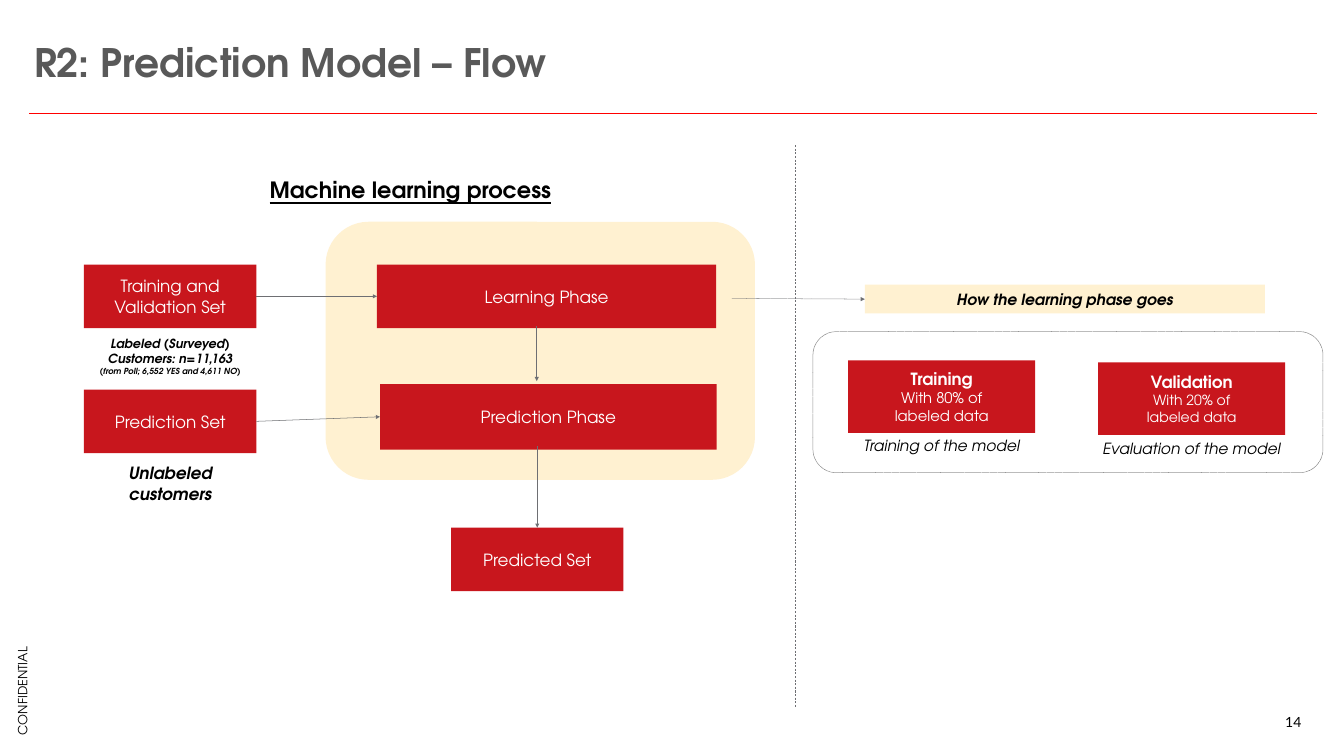
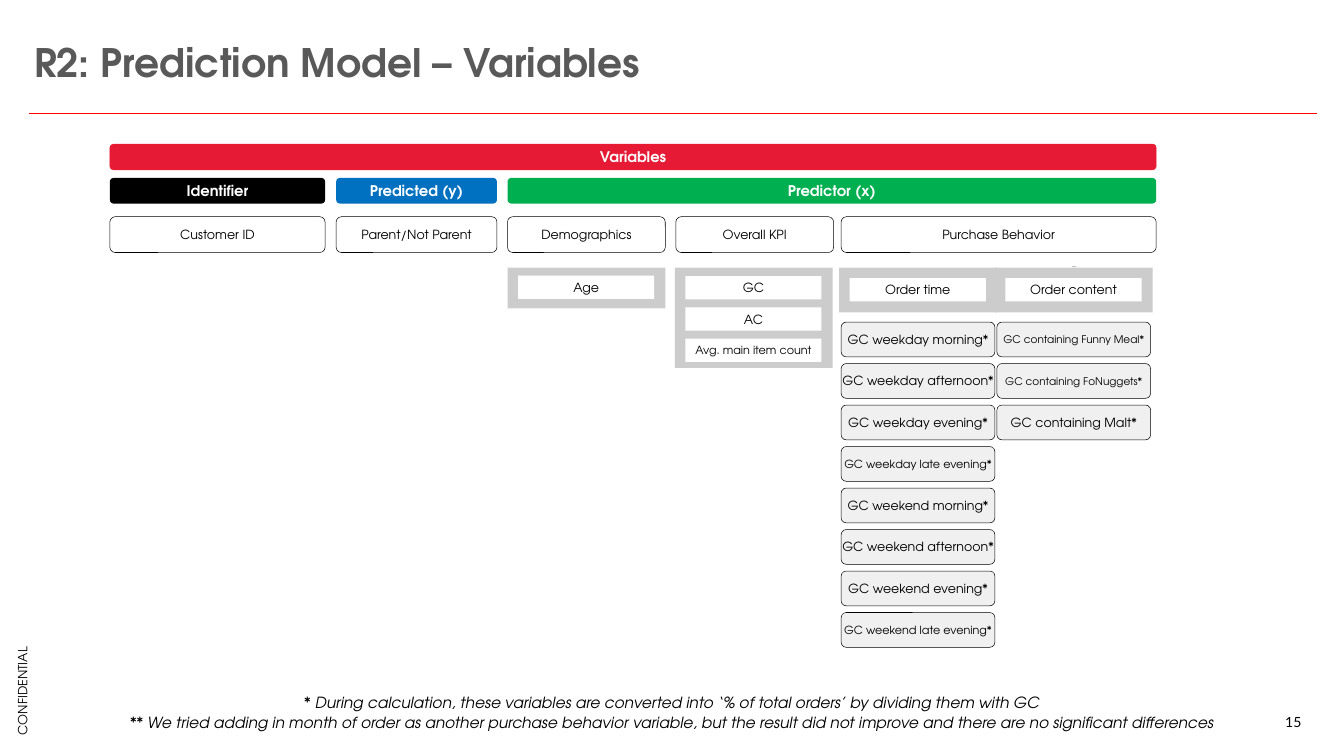
from dataclasses import dataclass

from lxml import etree
from pptx import Presentation
from pptx import util as u
from pptx.dml.color import RGBColor
from pptx.enum import dml, shapes, text
from pptx.oxml.ns import qn

# Slide grid: 80 columns by 45 rows of square cells
WIDTH, HEIGHT = u.Inches(26.67), u.Inches(15)
COLUMNS, ROWS = 80, 45

FONT = "TeX Gyre Adventor"
RED, CREAM, WHITE, BLACK = "C8161D", "FFF1D1", "FFFFFF", "000000"
TITLE_GREY, LINE_GREY = "595959", "6E6F73"
PANEL_GREY, PILL_GREY = "CCCCCC", "F0F0F0"
RECT = shapes.MSO_SHAPE.RECTANGLE
ROUND = shapes.MSO_SHAPE.ROUNDED_RECTANGLE
DASH, DOT = dml.MSO_LINE.DASH, dml.MSO_LINE.ROUND_DOT
TOP, LEFT, BOTTOM, RIGHT = range(4)
MIDDLE = text.MSO_ANCHOR.MIDDLE
WIDE_INSETS = (0.2, 0.1, 0.2, 0.1)
THIN_INSETS = (0.1, 0.05, 0.1, 0.05)
NO_INSETS = (0, 0, 0, 0)


@dataclass
class Box:
    """Area of the grid; parts are placed from its top left corner."""
    slide: object
    col: float = 0
    row: float = 0

    def point(self, col, row):
        return (int((self.col + col) * WIDTH / COLUMNS),
                int((self.row + row) * HEIGHT / ROWS))

    def frame(self, col, row, cols, rows):
        return (*self.point(col, row),
                int(cols * WIDTH / COLUMNS), int(rows * HEIGHT / ROWS))


def color(hex_value):
    return RGBColor.from_string(hex_value)


def write(shape, lines, insets=WIDE_INSETS, anchor=MIDDLE, wrap=True,
          align=text.PP_ALIGN.CENTER, spacing=None, ink=BLACK, **style):
    """Fill a shape with lines: plain strings, or (string, style changes)."""
    frame = shape.text_frame
    frame.word_wrap = wrap
    frame.vertical_anchor = anchor
    for side, inset in zip(("left", "top", "right", "bottom"), insets):
        setattr(frame, f"margin_{side}", u.Inches(inset))
    for index, line in enumerate(lines):
        words, changes = (line, {}) if isinstance(line, str) else line
        paragraph = frame.paragraphs[0] if index == 0 else frame.add_paragraph()
        paragraph.alignment = align
        if spacing:
            paragraph.line_spacing = spacing
        run = paragraph.add_run()
        run.text = words
        run.font.color.rgb = color(ink)
        for name, value in {"name": FONT, **style, **changes}.items():
            setattr(run.font, name, u.Pt(value) if name == "size" else value)
    return shape


def add_text(box, place, lines, **style):
    label = box.slide.shapes.add_textbox(*box.frame(*place))
    return write(label, lines, **{"anchor": text.MSO_ANCHOR.TOP, **style})


def add_block(box, place, kind=RECT, fill=None, line=None, dash=None, corner=None):
    block = box.slide.shapes.add_shape(kind, *box.frame(*place))
    block.shadow.inherit = False
    if fill:
        block.fill.solid()
        block.fill.fore_color.rgb = color(fill)
    else:
        block.fill.background()
    if line:
        block.line.color.rgb = color(line)
        block.line.width = u.Pt(0.75)
        block.line.dash_style = dash
    else:
        block.line.fill.background()
    if corner is not None:
        block.adjustments[0] = corner
    return block


def add_line(box, start, end, ink=LINE_GREY, width=0.75, dash=None, arrow=False):
    """Each end is a (col, row) point or a (shape, side) pair to join."""
    joins = [not isinstance(tip[0], (int, float)) for tip in (start, end)]
    points = [(0, 0) if joined else box.point(*tip)
              for tip, joined in zip((start, end), joins)]
    line = box.slide.shapes.add_connector(
        shapes.MSO_CONNECTOR.STRAIGHT, *points[0], *points[1])
    if joins[0]:
        line.begin_connect(*start)
    if joins[1]:
        line.end_connect(*end)
    line.line.color.rgb = color(ink)
    line.line.width = u.Pt(width)
    if dash:
        line.line.dash_style = dash
    if arrow:
        etree.SubElement(line.line._get_or_add_ln(), qn("a:tailEnd"), type="triangle")
    etree.SubElement(line._element.spPr, qn("a:effectLst"))


def start_slide(deck, title, number):
    """Blank slide with the shared title, rule, side mark and page number."""
    slide = deck.slides.add_slide(deck.slide_layouts[6])
    page = Box(slide)
    add_text(page, (76.14, 42.57, 1.68, 0.93), [str(number)], name="Lato", size=20,
             insets=NO_INSETS, anchor=text.MSO_ANCHOR.BOTTOM, wrap=False, spacing=0.9)
    add_line(page, (1.74, 6.78), (78.39, 6.78), ink="FF0000", width=1.25)
    side_mark = add_text(page, (-1.62, 40.53, 5.91, 1.2), ["CONFIDENTIAL"],
                         size=18, insets=THIN_INSETS, wrap=False)
    side_mark.rotation = 270
    add_text(page, (1.74, 1.86, 75.15, 3.81), [title], size=56, bold=True,
             ink=TITLE_GREY, insets=(0.1, 0.1, 0.1, 0), anchor=MIDDLE,
             align=text.PP_ALIGN.LEFT, spacing=0.85)
    return slide


# Slide 14: flow
def step(box, place, lines, **style):
    return write(add_block(box, place, fill=RED), lines, ink=WHITE, size=24, **style)


def learning_process(box):
    add_block(box, (14.38, 3.2, 25.56, 15.36), ROUND, fill=CREAM)
    add_text(box, (9.58, 0.17, 19.71, 2.22), ["Machine learning process"],
             size=32, bold=True, underline=True, anchor=MIDDLE)

    # Data sets and phases
    set_size = (10.26, 3.78)
    training_set = step(box, (0, 5.75, *set_size), ["Training and Validation Set"])
    prediction_set = step(box, (0, 13.19, *set_size), ["Prediction Set"])
    predicted_set = step(box, (21.85, 21.41, *set_size), ["Predicted Set"])
    learning = step(box, (17.44, 5.75, 20.19, 3.78), ["Learning Phase"])
    prediction = step(box, (17.62, 12.86, 20.04, 3.9), ["Prediction Phase"])

    # Notes under the data sets
    note = {"bold": True, "italic": True}
    add_text(box, (-3.35, 9.71, 16.98, 3.03),
             ["Labeled (Surveyed)", "Customers: n=11,163",
              ("(from Poll; 6,552 YES and 4,611 NO)", {"size": 12})], size=18, **note)
    add_text(box, (-3.35, 17.27, 16.98, 3.03), ["Unlabeled", "customers"],
             size=24, **note)

    # Flow arrows
    for start, end in (((training_set, RIGHT), (learning, LEFT)),
                       ((prediction_set, RIGHT), (prediction, LEFT)),
                       ((26.95, 9.41), (26.95, 12.68)),
                       ((26.98, 16.52), (predicted_set, TOP))):
        add_line(box, start, end, arrow=True)


def learning_detail(box):
    add_line(box, (-0.69, -7.36), (-0.69, 26.06), dash=DASH)
    add_block(box, (0.39, 3.74, 30.36, 8.4), ROUND, line="5F5F5F", dash=DOT)
    heading = add_block(box, (3.48, 0.95, 23.82, 1.71), fill=CREAM)
    write(heading, ["How the learning phase goes"], size=22, bold=True, italic=True)
    add_line(box, (-4.44, 1.76), (heading, LEFT), dash=DOT, arrow=True)

    # Training and validation, each with its caption
    parts = (
        (2.49, 5.45, "Training", "With 80% of", 21, "Training of the model", THIN_INSETS),
        (17.37, 5.57, "Validation", "With 20% of", 20, "Evaluation of the model",
         WIDE_INSETS),
    )
    for col, row, name, share, size, caption, insets in parts:
        small = {"size": size, "bold": False}
        step(box, (col, row, 11.13, 4.32),
             [name, (share, small), ("labeled data", small)], bold=True)
        add_text(box, (col - 1.19, 9.83, 13.5, 1.41), [caption],
                 size=22, italic=True, insets=insets)


# Slide 15: variables
def pill(box, place, label, size=18, ink=BLACK, bold=False, **look):
    shape = add_block(box, place, ROUND, corner=0.146, **look)
    write(shape, [label], insets=NO_INSETS, wrap=False, size=size, ink=ink, bold=bold)


def variable_tree(box):
    # Coloured headers
    identifier, predicted, predictor = (0, 12.81), (13.47, 9.57), (23.67, 38.61)
    for (col, cols), row, label, look in (
            ((0, 62.28), 0, "Variables", {"fill": "E61A34", "line": "ED1B2E"}),
            (identifier, 2.01, "Identifier", {"fill": BLACK}),
            (predicted, 2.01, "Predicted (y)", {"fill": "0070C0"}),
            (predictor, 2.01, "Predictor (x)", {"fill": "00B050"})):
        pill(box, (col, row, cols, 1.53), label, size=21, ink=WHITE, bold=True, **look)

    # Outlined groups
    for (col, cols), label in (
            (identifier, "Customer ID"), (predicted, "Parent/Not Parent"),
            ((23.67, 9.39), "Demographics"), ((33.69, 9.39), "Overall KPI"),
            ((43.53, 18.75), "Purchase Behavior")):
        pill(box, (col, 4.32, cols, 2.13), label, line=BLACK)

    # Grey panels with white fields
    add_line(box, (57.3, 7.29), (57.51, 7.29), ink="BFBFBF")
    for col, rows, inset, fields in (
            (23.67, 2.43, 0.48, [("Age", 18)]),
            (33.63, 5.97, 0.51, [("GC", 18), ("AC", 18), ("Avg. main item count", 16)]),
            (43.41, 2.67, 0.63, [("Order time", 18)]),
            (52.68, 2.67, 0.63, [("Order content", 18)])):
        add_block(box, (col, 7.35, 9.39, rows), fill=PANEL_GREY)
        for index, (label, size) in enumerate(fields):
            place = (col + 0.63, 7.35 + inset + 1.86 * index, 8.1, 1.38)
            write(add_block(box, place, fill=WHITE), [label],
                  insets=NO_INSETS, wrap=False, size=size)

    # Order variables
    times = [(f"GC {day} {time}*", 16 if time == "late evening" else 18)
             for day in ("weekday", "weekend")
             for time in ("morning", "afternoon", "evening", "late evening")]
    contents = [("GC containing Funny Meal*", 15), ("GC containing FoNuggets*", 15),
                ("GC containing Malt*", 18)]
    for col, variables in ((43.53, times), (52.8, contents)):
        for index, (label, size) in enumerate(variables):
            pill(box, (col, 10.59 + 2.47 * index, 9.15, 2.07), label, size=size,
                 fill=PILL_GREY, line=BLACK)


def footnotes(box):
    notes = (
        "* During calculation, these variables are converted into "
        "‘% of total orders’ by dividing them with GC",
        "** We tried adding in month of order as another purchase behavior variable, "
        "but the result did not improve and there are no significant differences",
    )
    for index, note in enumerate(notes):
        add_text(box, (0, 1.23 * index, 76.5, 1.41), [note],
                 size=22, italic=True, insets=THIN_INSETS)


def main():
    deck = Presentation()
    deck.slide_width, deck.slide_height = WIDTH, HEIGHT

    flow = start_slide(deck, "R2: Prediction Model – Flow", 14)
    learning_process(Box(flow, 5, 10))
    learning_detail(Box(flow, 48, 16))

    variables = start_slide(deck, "R2: Prediction Model – Variables", 15)
    variable_tree(Box(variables, 6.54, 8.58))
    footnotes(Box(variables, 1.74, 41.1))

    deck.save("out.pptx")


if __name__ == "__main__":
    main()
